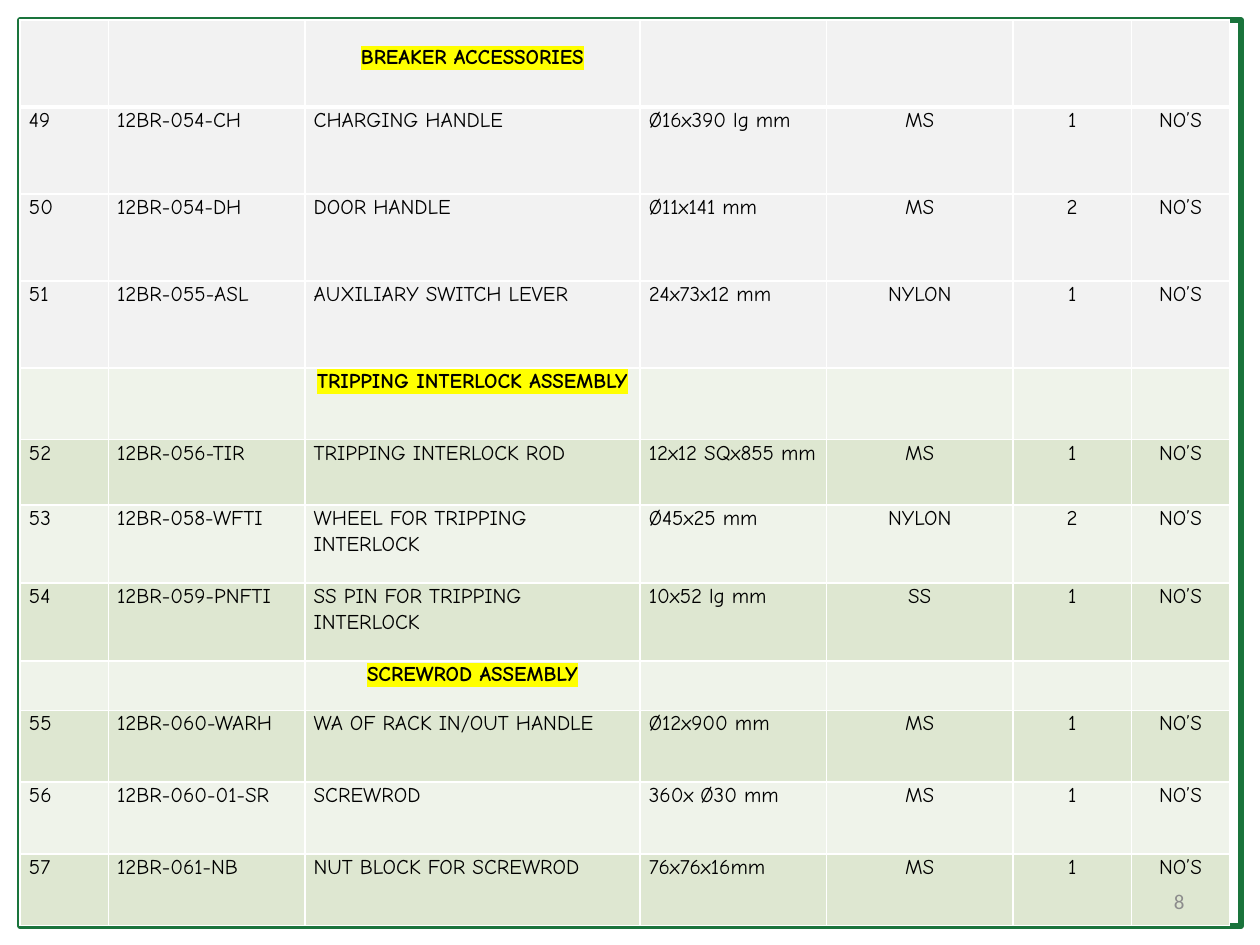
from lxml import etree
from pptx import Presentation
from pptx.dml.color import RGBColor
from pptx.enum.shapes import MSO_SHAPE
from pptx.enum.text import MSO_ANCHOR, PP_ALIGN
from pptx.oxml.ns import qn
from pptx.util import Inches, Pt

COLORS = {
    "frame": "1A743C", "grey": "F2F2F2", "light": "EFF3EA", "green": "DEE7D1",
    "border": "FFFFFF", "text": "000000", "mark": "FFFF00", "number": "8C8C8C",
}
COL_WIDTHS = [0.7, 1.56, 2.66, 1.48, 1.48, 0.94, 0.78]
ROWS = [
    (0.69, "grey", "BREAKER ACCESSORIES"),
    (0.69, "grey", ["49", "12BR-054-CH", "CHARGING HANDLE", "Ø16x390 lg mm", "MS", "1"]),
    (0.69, "grey", ["50", "12BR-054-DH", "DOOR HANDLE", "Ø11x141 mm", "MS", "2"]),
    (0.69, "grey", ["51", "12BR-055-ASL", "AUXILIARY SWITCH LEVER", "24x73x12 mm", "NYLON", "1"]),
    (0.57, "light", "TRIPPING INTERLOCK ASSEMBLY"),
    (0.52, "green", ["52", "12BR-056-TIR", "TRIPPING INTERLOCK ROD", "12x12 SQx855 mm", "MS", "1"]),
    (0.62, "light", ["53", "12BR-058-WFTI", "WHEEL FOR TRIPPING INTERLOCK", "Ø45x25 mm", "NYLON", "2"]),
    (0.62, "green", ["54", "12BR-059-PNFTI", "SS PIN FOR TRIPPING INTERLOCK", "10x52 lg mm", "SS", "1"]),
    (0.39, "light", "SCREWROD ASSEMBLY"),
    (0.57, "green", ["55", "12BR-060-WARH", "WA OF RACK IN/OUT HANDLE", "Ø12x900 mm", "MS", "1"]),
    (0.57, "light", ["56", "12BR-060-01-SR", "SCREWROD", "360x Ø30 mm", "MS", "1"]),
    (0.57, "green", ["57", "12BR-061-NB", "NUT BLOCK FOR SCREWROD", "76x76x16mm", "MS", "1"]),
]


def add_fill(parent, tag, color):
    el = etree.SubElement(parent, qn(tag))
    etree.SubElement(el, qn("a:srgbClr"), val=COLORS[color])
    return el


def format_run(r, font, color, bold=False):
    r.font.size = Pt(12)
    r.font.bold = bold
    r.font.name = font
    r.font.color.rgb = RGBColor.from_string(COLORS[color])


prs = Presentation()
prs.slide_width, prs.slide_height = Inches(10), Inches(7.5)
slide = prs.slides.add_slide(prs.slide_layouts[6])

frame = slide.shapes.add_shape(
    MSO_SHAPE.RECTANGLE, Inches(0.16), Inches(0.16), Inches(9.69), Inches(7.19))
frame.shadow.inherit = False
frame.fill.background()
frame.line.color.rgb = RGBColor.from_string(COLORS["frame"])
frame.line.width = Pt(3.5)

table = slide.shapes.add_table(
    len(ROWS), len(COL_WIDTHS), Inches(0.16), Inches(0.16), Inches(9.61), Inches(7.19)).table
for col, width in zip(table.columns, COL_WIDTHS):
    col.width = Inches(width)

for i, (height, fill, content) in enumerate(ROWS):
    table.rows[i].height = Inches(height)
    heading = isinstance(content, str)
    texts = ["", "", content, "", "", "", ""] if heading else content + ["NO’S"]
    for j, text in enumerate(texts):
        cell = table.cell(i, j)
        cell.margin_left = cell.margin_right = Inches(0.07)
        cell.margin_top = Inches(0.19 if i == 0 else 0)
        cell.margin_bottom = 0
        tcPr = cell._tc.get_or_add_tcPr()
        for side in "LRTB":
            thick = (i, side) in [(0, "B"), (1, "T")]
            ln = etree.SubElement(tcPr, qn("a:ln" + side), w=str(Pt(3 if thick else 1)))
            add_fill(ln, "a:solidFill", "border")
        cell.fill.solid()
        cell.fill.fore_color.rgb = RGBColor.from_string(COLORS[fill])
        if not text:
            continue
        p = cell.text_frame.paragraphs[0]
        p.text = text
        p.line_spacing = 1.07
        p.alignment = PP_ALIGN.CENTER if heading or j > 3 else PP_ALIGN.LEFT
        if j == 0:
            pPr = p._p.get_or_add_pPr()
            pPr.set("marL", str(Inches(0.38)))
            pPr.set("indent", str(-Inches(0.38)))
        r = p.runs[0]
        format_run(r, "Comic Neue", "text", heading)
        if heading:
            rPr = r._r.get_or_add_rPr()
            rPr.find(qn("a:solidFill")).addnext(add_fill(rPr, "a:highlight", "mark"))

number = slide.shapes.add_textbox(Inches(7.17), Inches(6.95), Inches(2.33), Inches(0.4))
tf = number.text_frame
tf.word_wrap = True
tf.vertical_anchor = MSO_ANCHOR.MIDDLE
tf.text = "8"
p = tf.paragraphs[0]
p.alignment = PP_ALIGN.RIGHT
format_run(p.runs[0], "Calibri", "number")

prs.save("out.pptx")
